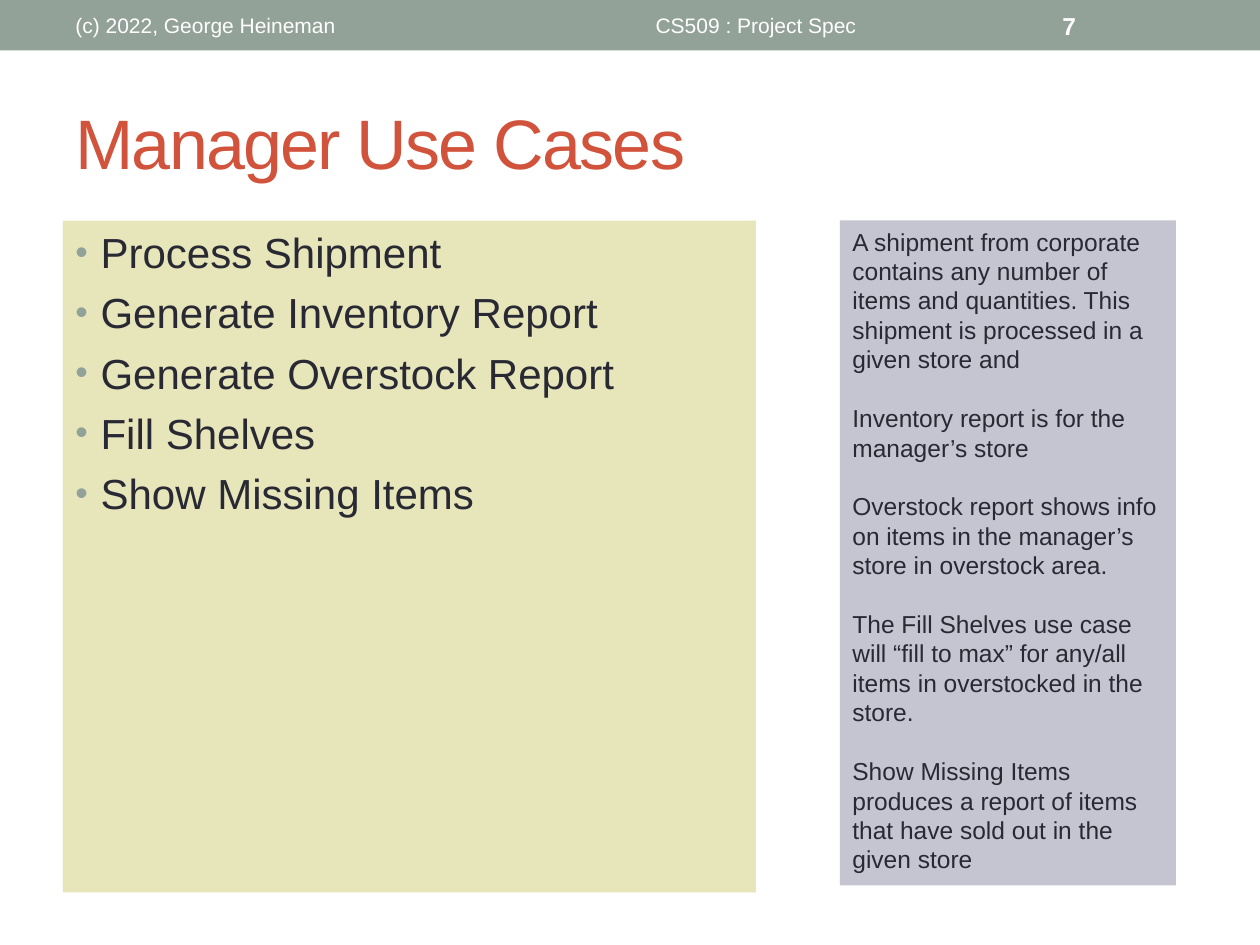
from lxml import etree
from pptx import Presentation
from pptx.dml.color import RGBColor
from pptx.enum.shapes import MSO_SHAPE
from pptx.enum.text import MSO_ANCHOR, PP_ALIGN
from pptx.oxml.ns import qn
from pptx.util import Pt

RECTANGLE = MSO_SHAPE.RECTANGLE
TOP, MIDDLE = MSO_ANCHOR.TOP, MSO_ANCHOR.MIDDLE
LEFT, CENTER = PP_ALIGN.LEFT, PP_ALIGN.CENTER

SAGE = RGBColor(0x93, 0xA2, 0x99)
RED = RGBColor(0xD2, 0x53, 0x3C)
INK = RGBColor(0x29, 0x29, 0x34)
WHITE = RGBColor(0xFF, 0xFF, 0xFF)
CREAM = RGBColor(0xE7, 0xE5, 0xBA)
LAVENDER = RGBColor(0xC5, 0xC5, 0xD1)

FONT = "Arial"
HEADER_TOP, HEADER_HEIGHT = 1.5, 26
PANEL_TOP = 126

USE_CASES = [
    "Process Shipment",
    "Generate Inventory Report",
    "Generate Overstock Report",
    "Fill Shelves",
    "Show Missing Items",
]
NOTES = [
    "A shipment from corporate contains any number of items and quantities. "
    "This shipment is processed in a given store and",
    "Inventory report is for the manager’s store",
    "Overstock report shows info on items in the manager’s store in overstock area.",
    "The Fill Shelves use case will “fill to max” for any/all items in overstocked in the store.",
    "Show Missing Items produces a report of items that have sold out in the given store",
]


def add_bar(page, left, top, width, height, fill):
    bar = page.shapes.add_shape(RECTANGLE, Pt(left), Pt(top), Pt(width), Pt(height))
    bar.shadow.inherit = False
    bar.fill.solid()
    bar.fill.fore_color.rgb = fill
    bar.line.fill.background()
    return bar


def write_lines(shape, lines, size, color, anchor=TOP, align=LEFT, bold=False):
    frame = shape.text_frame
    frame.word_wrap = True
    frame.vertical_anchor = anchor
    frame.text = "\n".join(lines)
    for para in frame.paragraphs:
        para.alignment = align
        for span in para.runs:
            span.font.name = FONT
            span.font.size = Pt(size)
            span.font.bold = bold
            span.font.color.rgb = color
    return frame.paragraphs


def add_label(page, left, top, width, height, text, size, color, align=LEFT, bold=False):
    box = page.shapes.add_textbox(Pt(left), Pt(top), Pt(width), Pt(height))
    return write_lines(box, [text], size, color, MIDDLE, align, bold)[0]


def add_bullet(para, indent, color, percent):
    props = para._p.get_or_add_pPr()
    props.set("marL", str(Pt(indent)))
    props.set("indent", str(-Pt(indent)))
    bullet_color = etree.SubElement(props, qn("a:buClr"))
    etree.SubElement(bullet_color, qn("a:srgbClr"), val=str(color))
    etree.SubElement(props, qn("a:buSzPct"), val=str(percent * 1000))
    etree.SubElement(props, qn("a:buFont"), typeface=FONT)
    etree.SubElement(props, qn("a:buChar"), char="•")


def add_header(page):
    add_bar(page, 0, 0, 720, 28.8, SAGE)
    add_label(page, 36, HEADER_TOP, 228, HEADER_HEIGHT, "(c) 2022, George Heineman", 12, WHITE)
    add_label(page, 270, HEADER_TOP, 324, HEADER_HEIGHT, "CS509 : Project Spec", 12, WHITE, CENTER)
    add_label(page, 600, HEADER_TOP, 84, HEADER_HEIGHT, "7", 14, WHITE, bold=True)


def add_title(page):
    title = add_label(page, 36, 42, 648, 78, "Manager Use Cases", 40, RED)
    title.runs[0].font._element.set("spc", "-100")


def add_use_cases(page):
    panel = add_bar(page, 36, PANEL_TOP, 396, 384, CREAM)
    for para in write_lines(panel, USE_CASES, 24, INK):
        para.space_before = Pt(5.6)
        add_bullet(para, 14.4, SAGE, 85)


def add_notes(page):
    panel = add_bar(page, 480, PANEL_TOP, 192, 380, LAVENDER)
    for para in write_lines(panel, NOTES, 14, INK)[1:]:
        para.space_before = Pt(16.8)


def main():
    deck = Presentation()
    deck.slide_width, deck.slide_height = Pt(720), Pt(540)
    page = deck.slides.add_slide(deck.slide_layouts[6])
    add_header(page)
    add_title(page)
    add_use_cases(page)
    add_notes(page)
    deck.save("out.pptx")


if __name__ == "__main__":
    main()
